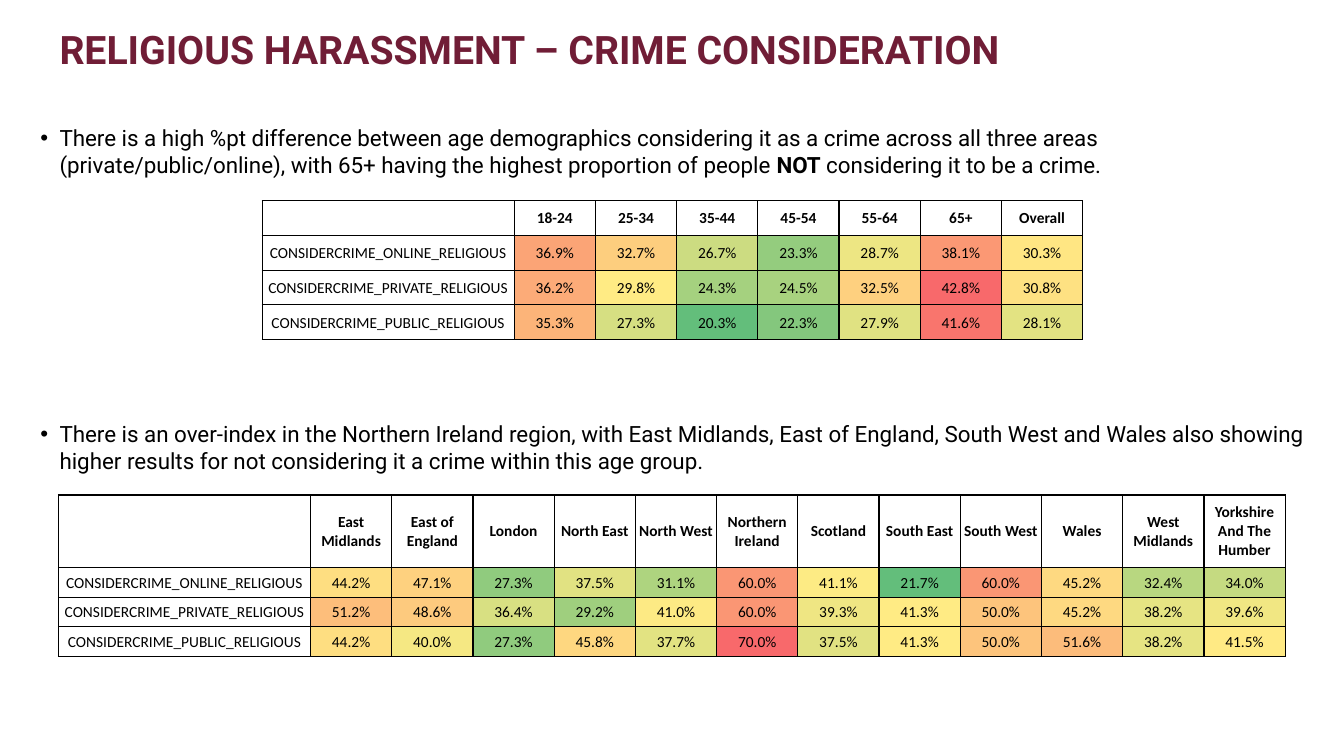
from lxml import etree
from pptx import Presentation
from pptx.dml.color import RGBColor
from pptx.enum.text import MSO_ANCHOR, MSO_AUTO_SIZE, PP_ALIGN
from pptx.oxml.ns import qn
from pptx.util import Inches, Pt

TOP, MIDDLE = MSO_ANCHOR.TOP, MSO_ANCHOR.MIDDLE
LEFT, CENTER = PP_ALIGN.LEFT, PP_ALIGN.CENTER
NO_FIT = MSO_AUTO_SIZE.NONE

SLIDE_W, SLIDE_H = 13.33, 7.5
TITLE = "RELIGIOUS HARASSMENT – CRIME CONSIDERATION"
MEASURES = [f"CONSIDERCRIME_{area}_RELIGIOUS" for area in ("ONLINE", "PRIVATE", "PUBLIC")]

# Each finding: top of its bullet, runs of (text, bold), and its table.
# The heat scale turns yellow at the midpoint of each table.
FINDINGS = [
    {
        "bullet_top": 1.18,
        "bullet": [
            ("There is a high %pt difference between age demographics considering it as a crime "
             "across all three areas (private/public/online), with 65+ having the highest "
             "proportion of people ", False),
            ("NOT", True),
            (" considering it to be a crime.", False),
        ],
        "table_at": (2.6, 1.99),
        "row_heights": [0.345] * 4,
        "midpoint": 29.8,
        "groups": ["18-24", "25-34", "35-44", "45-54", "55-64", "65+", "Overall"],
        "shares": [
            [36.9, 32.7, 26.7, 23.3, 28.7, 38.1, 30.3],
            [36.2, 29.8, 24.3, 24.5, 32.5, 42.8, 30.8],
            [35.3, 27.3, 20.3, 22.3, 27.9, 41.6, 28.1],
        ],
    },
    {
        "bullet_top": 4.12,
        "bullet": [
            ("There is an over-index in the Northern Ireland region, with East Midlands, East of "
             "England, South West and Wales also showing higher results for not considering it a "
             "crime within this age group.", False),
        ],
        "table_at": (0.58, 4.91),
        "row_heights": [0.72] + [0.295] * 3,
        "midpoint": 41.3,
        "groups": ["East Midlands", "East of England", "London", "North East", "North West",
                   "Northern Ireland", "Scotland", "South East", "South West", "Wales",
                   "West Midlands", "Yorkshire And The Humber"],
        "shares": [
            [44.2, 47.1, 27.3, 37.5, 31.1, 60.0, 41.1, 21.7, 60.0, 45.2, 32.4, 34.0],
            [51.2, 48.6, 36.4, 29.2, 41.0, 60.0, 39.3, 41.3, 50.0, 45.2, 38.2, 39.6],
            [44.2, 40.0, 27.3, 45.8, 37.7, 70.0, 37.5, 41.3, 50.0, 51.6, 38.2, 41.5],
        ],
    },
]

LOW, MID, HIGH = "63BE7B", "FFEB84", "F8696B"
BLACK, MAROON = "000000", "701D36"
MEASURE_W = 2.5
GROUP_W = (12.17 - MEASURE_W) / 12
BULLET_INDENT = 0.19


def color(hex_value):
    return RGBColor.from_string(hex_value)


def add_text(paragraph, text, *, size, font, hex_value=BLACK, bold=False, align=LEFT):
    paragraph.alignment = align
    run = paragraph.add_run()
    run.text = text
    run.font.size = Pt(size)
    run.font.name = font
    run.font.bold = bold
    run.font.color.rgb = color(hex_value)


def place(shape, left, top, width, height):
    shape.left, shape.top = Inches(left), Inches(top)
    shape.width, shape.height = Inches(width), Inches(height)
    frame = shape.text_frame
    frame.word_wrap = True
    frame.auto_size = NO_FIT
    frame.vertical_anchor = TOP
    return frame


def heat(share, low, midpoint, high):
    """Colour of a share on the green, yellow and red scale."""
    if share <= midpoint:
        start, end, part = LOW, MID, (share - low) / (midpoint - low)
    else:
        start, end, part = MID, HIGH, (share - midpoint) / (high - midpoint)
    channels = zip(color(start), color(end))
    return "".join(f"{round(a + (b - a) * part):02X}" for a, b in channels)


def add_borders(cell):
    properties = cell._tc.get_or_add_tcPr()
    for position, side in enumerate(("lnL", "lnR", "lnT", "lnB")):
        line = etree.Element(qn(f"a:{side}"), w=str(Pt(1)))
        fill = etree.SubElement(line, qn("a:solidFill"))
        etree.SubElement(fill, qn("a:srgbClr"), val=BLACK)
        properties.insert(position, line)


def fill_cell(cell, text, fill=None, bold=False):
    cell.margin_left = cell.margin_right = cell.margin_top = Inches(0.01)
    cell.margin_bottom = 0
    cell.vertical_anchor = MIDDLE
    if fill:
        cell.fill.solid()
        cell.fill.fore_color.rgb = color(fill)
    else:
        cell.fill.background()
    add_borders(cell)
    if text:
        add_text(cell.text_frame.paragraphs[0], text, size=11, font="Calibri",
                 bold=bold, align=CENTER)


def add_bullet(placeholder, finding):
    frame = place(placeholder, 0.3, finding["bullet_top"], 12.75, 0.63)
    paragraph = frame.paragraphs[0]
    properties = paragraph._p.get_or_add_pPr()
    properties.set("marL", str(Inches(BULLET_INDENT)))
    properties.set("indent", str(-Inches(BULLET_INDENT)))
    etree.SubElement(properties, qn("a:buFont"), typeface="Arial")
    etree.SubElement(properties, qn("a:buChar"), char="•")
    paragraph.space_before = Pt(0)
    for text, bold in finding["bullet"]:
        add_text(paragraph, text, size=16, font="Roboto", bold=bold)


def add_heat_table(slide, finding):
    groups, shares, heights = finding["groups"], finding["shares"], finding["row_heights"]
    widths = [MEASURE_W] + [GROUP_W] * len(groups)
    left, top = finding["table_at"]
    table = slide.shapes.add_table(
        len(heights), len(widths), Inches(left), Inches(top),
        Inches(sum(widths)), Inches(sum(heights))).table
    table.first_row = table.horz_banding = False
    for column, width in zip(table.columns, widths):
        column.width = Inches(width)
    for row, height in zip(table.rows, heights):
        row.height = Inches(height)

    for col, group in enumerate([""] + groups):
        fill_cell(table.cell(0, col), group, bold=True)
    low, high = min(map(min, shares)), max(map(max, shares))
    for row, (measure, values) in enumerate(zip(MEASURES, shares), 1):
        fill_cell(table.cell(row, 0), measure)
        for col, share in enumerate(values, 1):
            fill_cell(table.cell(row, col), f"{share:.1f}%",
                      fill=heat(share, low, finding["midpoint"], high))


def main():
    deck = Presentation()
    deck.slide_width, deck.slide_height = Inches(SLIDE_W), Inches(SLIDE_H)
    two_content = deck.slide_layouts[3]
    slide = deck.slides.add_slide(two_content)
    title, *bodies = slide.placeholders

    heading = place(title, 0.59, 0.25, SLIDE_W - 0.59, 0.47)
    heading.margin_left = heading.margin_right = 0
    heading.margin_top = heading.margin_bottom = 0
    add_text(heading.paragraphs[0], TITLE, size=28, font="Roboto", hex_value=MAROON, bold=True)

    for body, finding in zip(bodies, FINDINGS):
        add_bullet(body, finding)
        add_heat_table(slide, finding)
    deck.save("out.pptx")


if __name__ == "__main__":
    main()
